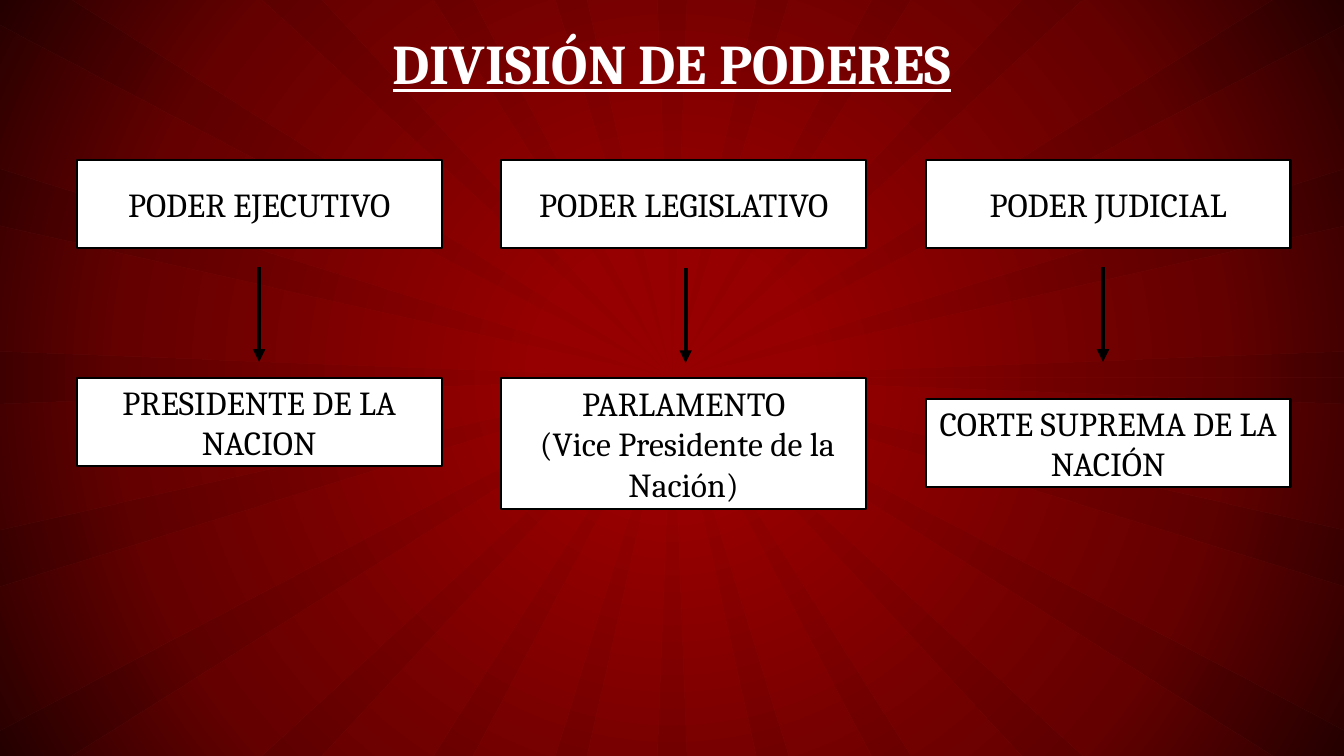
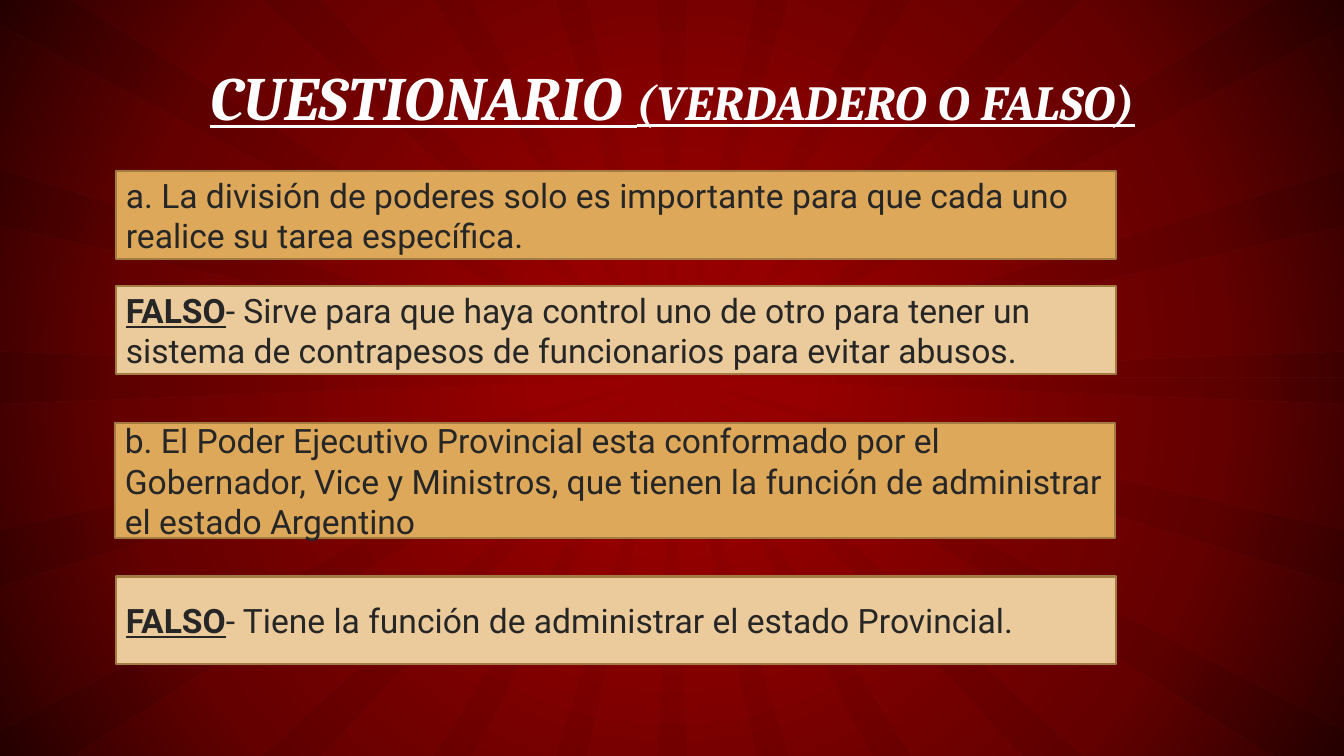
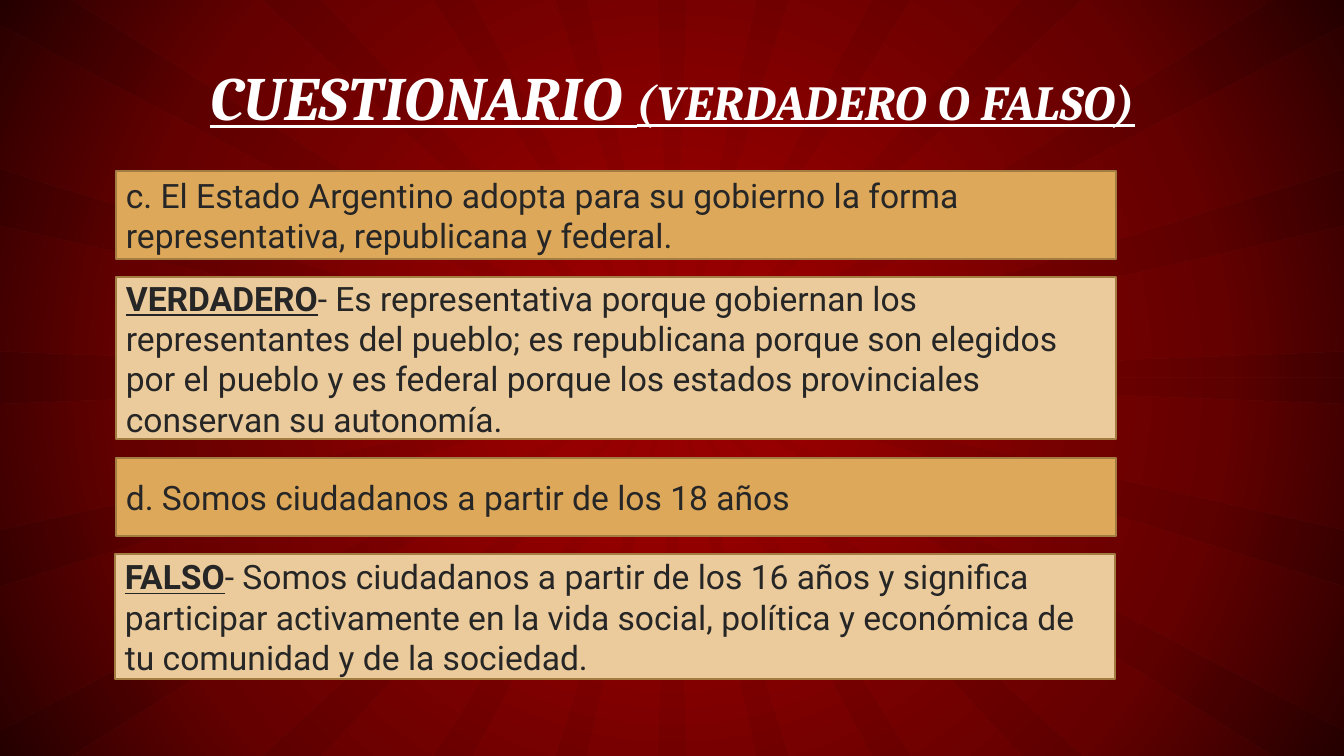
from dataclasses import dataclass

from lxml import etree
from pptx import Presentation
from pptx.dml.color import RGBColor
from pptx.enum.shapes import MSO_CONNECTOR, MSO_SHAPE
from pptx.enum.text import MSO_ANCHOR, MSO_AUTO_SIZE, PP_ALIGN
from pptx.oxml import parse_xml
from pptx.oxml.ns import nsdecls, qn
from pptx.util import Inches, Pt

RECTANGLE = MSO_SHAPE.RECTANGLE
STRAIGHT = MSO_CONNECTOR.STRAIGHT
LEFT, CENTER = PP_ALIGN.LEFT, PP_ALIGN.CENTER
TOP, MIDDLE, BOTTOM = MSO_ANCHOR.TOP, MSO_ANCHOR.MIDDLE, MSO_ANCHOR.BOTTOM


@dataclass(frozen=True)
class Theme:
    title_font: str = "Cambria"
    text_font: str = "Roboto"
    white: str = "FFFFFF"
    black: str = "000000"
    ink: str = "262626"
    statement: str = "DDA859"
    answer: str = "EBCB9B"
    border: str = "A37C42"
    powers_title_size: int = 40
    quiz_title_size: int = 44
    quiz_subtitle_size: int = 35
    text_size: int = 24
    border_width: float = 1.5
    arrow_width: float = 3
    # Gradient stops from centre to edge: position %, colour, opacity %
    backdrop: tuple = ((17, "960000", 100), (71, "650000", 100), (100, "290000", 100))
    rays: tuple = ((0, "000000", 1), (100, "000000", 10))


THEME = Theme()
SLIDE_W, SLIDE_H = 13.33, 7.5

# Content: power, who holds it, top and height of the holder box, arrow x and top
POWERS_TITLE = "DIVISIÓN DE PODERES"
POWERS = [
    ("PODER EJECUTIVO", "PRESIDENTE DE LA NACION", 3.75, 0.87, 2.57, 2.65),
    ("PODER LEGISLATIVO", "PARLAMENTO\n (Vice Presidente de la Nación)", 3.75, 1.3, 6.8, 2.66),
    ("PODER JUDICIAL", "CORTE SUPREMA DE LA NACIÓN", 3.96, 0.87, 10.94, 2.65),
]
POWER_LEFT, POWER_STEP, POWER_TOP = 0.76, 4.21, 1.59
POWER_W, POWER_H, ARROW_LENGTH = 3.62, 0.87, 0.94

# Quiz entries: verdict ("" for a statement), text, left, top, height
QUIZ_TITLE = ("CUESTIONARIO ", "(VERDADERO O FALSO)")
QUIZ_W = 9.92
QUIZ_SLIDES = [
    [
        ("", "a. La división de poderes solo es importante para que cada uno realice "
             "su tarea específica.", 1.15, 1.7, 0.87),
        ("FALSO", "- Sirve para que haya control uno de otro para tener un sistema de "
                  "contrapesos de funcionarios para evitar abusos.", 1.15, 2.84, 0.87),
        ("", "b. El Poder Ejecutivo Provincial esta conformado por el Gobernador, Vice y "
             "Ministros, que tienen la función de administrar el estado Argentino",
         1.14, 4.2, 1.14),
        ("FALSO", "- Tiene la función de administrar el estado Provincial.", 1.15, 5.72, 0.87),
    ],
    [
        ("", "c. El Estado Argentino adopta para su gobierno la forma representativa, "
             "republicana y federal.", 1.15, 1.7, 0.87),
        ("VERDADERO", "- Es representativa porque gobiernan los representantes del pueblo; "
                      "es republicana porque son elegidos por el pueblo y es federal porque "
                      "los estados provinciales conservan su autonomía.", 1.15, 2.75, 1.61),
        ("", "d. Somos ciudadanos a partir de los 18 años", 1.15, 4.54, 0.78),
        ("FALSO", "- Somos ciudadanos a partir de los 16 años y significa participar "
                  "activamente en la vida social, política y económica de tu comunidad y de "
                  "la sociedad.", 1.14, 5.5, 1.24),
    ],
]

# Where the sunburst rays meet the slide edges
RAYS_ACROSS = [(2.6, 3.19), (4.3, 4.69), (5.51, 5.82), (6.52, 6.81),
               (7.5, 7.82), (8.64, 9.03), (10.13, 10.73)]
RAYS_DOWN = [(1.68, 2.24), (3.49, 4.01), (5.26, 5.82)]
CORNER_X, CORNER_Y = 0.71, 0.25


def rgb(value):
    return RGBColor.from_string(value)


def set_radial_fill(element, stops):
    """Replace the first solid fill in the element with a centred gradient."""
    stop_xml = "".join(
        f'<a:gs pos="{pos * 1000}"><a:srgbClr val="{color}">'
        f'<a:alpha val="{opacity * 1000}"/></a:srgbClr></a:gs>'
        for pos, color, opacity in stops)
    gradient = parse_xml(
        f'<a:gradFill {nsdecls("a")} rotWithShape="1"><a:gsLst>{stop_xml}</a:gsLst>'
        '<a:path path="circle"><a:fillToRect l="50000" t="50000" r="50000" b="50000"/>'
        '</a:path></a:gradFill>')
    solid = next(element.iter(qn("a:solidFill")))
    solid.getparent().replace(solid, gradient)


def ray_outlines():
    """Outer points of each ray; every ray ends at the slide centre."""
    for y in (0, SLIDE_H):
        yield from ([(a, y), (b, y)] for a, b in RAYS_ACROSS)
    for x, inner_x in ((0, CORNER_X), (SLIDE_W, SLIDE_W - CORNER_X)):
        yield from ([(x, a), (x, b)] for a, b in RAYS_DOWN)
        for y, inner_y in ((0, CORNER_Y), (SLIDE_H, SLIDE_H - CORNER_Y)):
            yield [(inner_x, y), (x, y), (x, inner_y)]


def dress_master(master, slide):
    """Put the gradient and the sunburst on the master."""
    master.background.fill.solid()
    master.background.fill.fore_color.rgb = rgb(THEME.black)
    set_radial_fill(master.element, THEME.backdrop)

    center = (Inches(SLIDE_W / 2), Inches(SLIDE_H / 2))
    builder = slide.shapes.build_freeform(*center)
    for index, outline in enumerate(ray_outlines()):
        if index:
            builder.move_to(*center)
        builder.add_line_segments([(Inches(x), Inches(y)) for x, y in outline], close=True)
    rays = builder.convert_to_shape()
    rays.shadow.inherit = False
    rays.line.fill.background()
    rays.fill.solid()
    rays.fill.fore_color.rgb = rgb(THEME.black)
    set_radial_fill(rays.element, THEME.rays)
    # Freeforms are built on slides, so it is moved behind the master's placeholders
    rays.element.nvSpPr.cNvPr.set("id", "100")
    master.shapes.element.insert(2, rays.element)


def style_run(run, size, font, color, bold=False, italic=False, underline=False):
    run.font.size, run.font.name = Pt(size), font
    run.font.color.rgb = rgb(color)
    run.font.bold, run.font.italic, run.font.underline = bold, italic, underline


def set_title(slide, parts, box, anchor, italic):
    """Fill the title with (text, size) parts."""
    title = slide.shapes.title
    title.left, title.top, title.width, title.height = (Inches(v) for v in box)
    frame = title.text_frame
    frame.auto_size = MSO_AUTO_SIZE.NONE
    frame.word_wrap = True
    frame.vertical_anchor = anchor
    frame.margin_left = frame.margin_right = Inches(0.13)
    frame.margin_top = frame.margin_bottom = Inches(0.07)
    paragraph = frame.paragraphs[0]
    paragraph.alignment, paragraph.line_spacing = CENTER, 0.9
    for text, size in parts:
        run = paragraph.add_run()
        run.text = text
        style_run(run, size, THEME.title_font, THEME.white, True, italic, True)


def add_box(slide, box, fill, border, align):
    panel = slide.shapes.add_shape(RECTANGLE, *(Inches(v) for v in box))
    panel.shadow.inherit = False
    panel.fill.solid()
    panel.fill.fore_color.rgb = rgb(fill)
    panel.line.color.rgb = rgb(border)
    panel.line.width = Pt(THEME.border_width)
    frame = panel.text_frame
    frame.word_wrap = True
    frame.vertical_anchor = MIDDLE
    frame.paragraphs[0].alignment = align
    return frame


def add_power_box(slide, text, box):
    frame = add_box(slide, box, THEME.white, THEME.black, CENTER)
    frame.text = text
    for paragraph in frame.paragraphs:
        paragraph.alignment = CENTER
        style_run(paragraph.runs[0], THEME.text_size, THEME.title_font, THEME.black)


def add_arrow(slide, x, top):
    arrow = slide.shapes.add_connector(
        STRAIGHT, Inches(x), Inches(top), Inches(x), Inches(top + ARROW_LENGTH))
    arrow.line.color.rgb = rgb(THEME.black)
    arrow.line.width = Pt(THEME.arrow_width)
    etree.SubElement(arrow.line._get_or_add_ln(), qn("a:tailEnd"), type="triangle")
    etree.SubElement(arrow.element.spPr, qn("a:effectLst"))


def build_powers(slide):
    set_title(slide, [(POWERS_TITLE, THEME.powers_title_size)],
              (3.45, 0.29, 6.43, 0.71), TOP, False)
    for column, (power, holder, top, height, arrow_x, arrow_top) in enumerate(POWERS):
        left = POWER_LEFT + column * POWER_STEP
        add_power_box(slide, power, (left, POWER_TOP, POWER_W, POWER_H))
        add_power_box(slide, holder, (left, top, POWER_W, height))
        add_arrow(slide, arrow_x, arrow_top)


def build_quiz(slide, entries):
    sizes = (THEME.quiz_title_size, THEME.quiz_subtitle_size)
    set_title(slide, zip(QUIZ_TITLE, sizes), (1.01, 0.52, 11.32, 0.88), BOTTOM, True)
    for verdict, text, left, top, height in entries:
        fill = THEME.answer if verdict else THEME.statement
        frame = add_box(slide, (left, top, QUIZ_W, height), fill, THEME.border, LEFT)
        for part, strong in ((verdict, True), (text, False)):
            if part:
                run = frame.paragraphs[0].add_run()
                run.text = part
                style_run(run, THEME.text_size, THEME.text_font, THEME.ink,
                          bold=strong, underline=strong)


def main():
    deck = Presentation()
    deck.slide_width, deck.slide_height = Inches(SLIDE_W), Inches(SLIDE_H)
    title_only = deck.slide_layouts[5]

    powers_slide = deck.slides.add_slide(title_only)
    dress_master(deck.slide_master, powers_slide)
    build_powers(powers_slide)
    for entries in QUIZ_SLIDES:
        build_quiz(deck.slides.add_slide(title_only), entries)
    deck.save("out.pptx")


if __name__ == "__main__":
    main()
